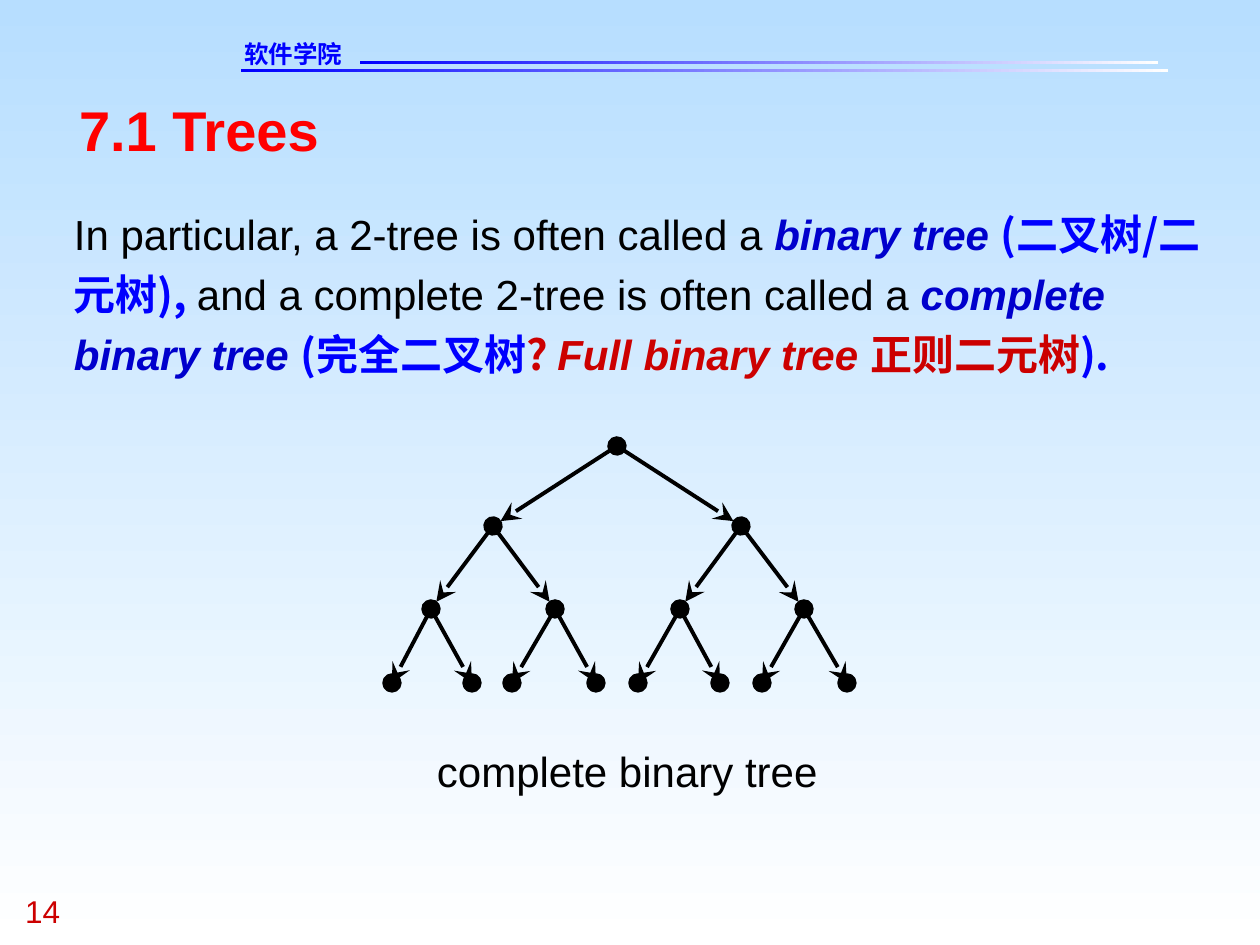
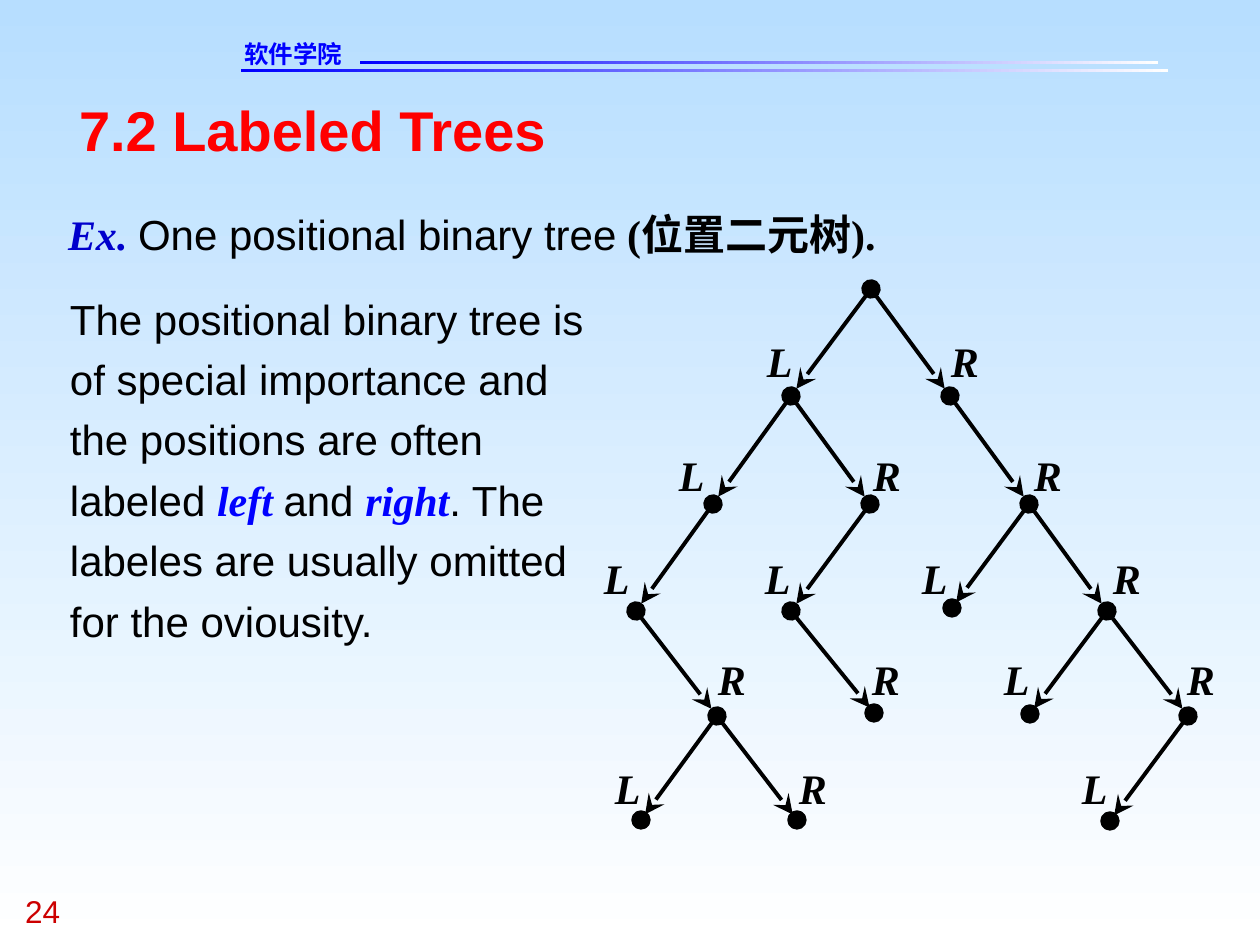
from itertools import product
from math import hypot

from lxml import etree
from pptx import Presentation
from pptx.dml.color import RGBColor
from pptx.enum.shapes import MSO_CONNECTOR, MSO_SHAPE
from pptx.enum.text import MSO_ANCHOR, MSO_AUTO_SIZE, PP_ALIGN
from pptx.oxml.ns import qn
from pptx.util import Emu, Inches, Pt

STRAIGHT = MSO_CONNECTOR.STRAIGHT
RECTANGLE, OVAL = MSO_SHAPE.RECTANGLE, MSO_SHAPE.OVAL
TOP, LEFT, NO_FIT = MSO_ANCHOR.TOP, PP_ALIGN.LEFT, MSO_AUTO_SIZE.NONE

EMU_PER_PX = 914400 / 126
SKY = RGBColor(0xB7, 0xDE, 0xFF)
WHITE = RGBColor(0xFF, 0xFF, 0xFF)
BLACK = RGBColor(0, 0, 0)
BLUE = RGBColor(0, 0, 0xFF)
NAVY = RGBColor(0, 0, 0xCC)
RED = RGBColor(0xFF, 0, 0)
CRIMSON = RGBColor(0xCC, 0, 0)

SANS, SERIF, CJK, HEADER_FONT = "Arial", "Times New Roman", "Noto Sans CJK SC", "DejaVu Sans"
TERM = dict(color=NAVY, bold=True, italic=True)
CHINESE = dict(name=CJK, color=BLUE, bold=True)
CHINESE_RED = dict(name=CJK, color=CRIMSON, bold=True)
SERIF_TERM = dict(name=SERIF, color=BLUE, bold=True, italic=True)

DOT = 15
INNER_GAP = 9

# Rows of the complete tree: y of the row, then x of each node
COMPLETE_ROWS = [
    (9, [235]),
    (89, [111, 359]),
    (172, [49, 173, 298, 422]),
    (246, [10, 90, 130, 214, 256, 338, 380, 465]),
]

# Nodes are named by the turns that lead to them from the root
POSITIONAL_NODES = {
    "": (267, 9),
    "L": (187, 116), "R": (346, 116),
    "LL": (109, 224), "LR": (266, 224), "RR": (425, 224),
    "LLL": (32, 331), "LRL": (187, 331), "RRL": (348, 328), "RRR": (503, 331),
    "LLLR": (113, 436), "LRLR": (270, 433), "RRRL": (426, 434), "RRRR": (584, 436),
    "LLLRL": (37, 540), "LLLRR": (193, 540), "RRRRL": (506, 541),
}
LABEL_LEFTS = {
    "L": 163, "R": 347, "LL": 75, "LR": 269, "RR": 430,
    "LLL": 0, "LRL": 161, "RRL": 318, "RRR": 509,
    "LLLR": 114, "LRLR": 268, "RRRL": 400, "RRRR": 583,
    "LLLRL": 11, "LLLRR": 195, "RRRRL": 478,
}
LABEL_TOPS = [56, 170, 273, 374, 483]
LABEL_WIDTHS = {"L": 25, "R": 28}


def px(*lengths):
    return [Emu(round(length * EMU_PER_PX)) for length in lengths]


def set_font(font, size=None, name=None, color=None, bold=None, italic=None):
    font.bold, font.italic = bold, italic
    if size:
        font.size = Pt(size)
    if name:
        font.name = name
    if color is not None:
        font.color.rgb = color


def write(frame, spans, size=24, name=SANS, color=BLACK, bold=None, italic=None, spacing=None):
    """Fill a frame with one paragraph of (text, differing style) spans."""
    frame.margin_left = frame.margin_right = frame.margin_top = frame.margin_bottom = 0
    frame.vertical_anchor, frame.auto_size = TOP, NO_FIT
    para = frame.paragraphs[0]
    para.alignment = LEFT
    if spacing:
        para.line_spacing = spacing
    set_font(para.font, size, name, color, bold, italic)
    defaults = para._p.pPr.find(qn("a:defRPr"))
    etree.SubElement(defaults, qn("a:ea"), typeface=CJK)
    for text, style in spans:
        span = para.add_run()
        span.text = text
        if style:
            set_font(span.font, **style)
            if style.get("name") == CJK:
                etree.SubElement(span._r.rPr, qn("a:ea"), typeface=CJK)


def add_text(parent, box, spans, wrap=True, **style):
    frame = parent.shapes.add_textbox(*px(*box)).text_frame
    frame.word_wrap = wrap
    write(frame, spans, **style)


def set_gradient(fill, start, end, angle):
    fill.gradient()
    fill.gradient_angle = angle
    for stop, color in zip(fill.gradient_stops, (start, end)):
        stop.color.rgb = color


def add_header(page):
    for box in ((241, 69, 927, 3), (360, 61, 798, 3)):
        rule = page.shapes.add_shape(RECTANGLE, *px(*box))
        rule.shadow.inherit = False
        rule.line.fill.background()
        set_gradient(rule.fill, BLUE, WHITE, 0)
    add_text(page, (244, 39, 183, 29), [("软件学院", None)],
             size=14, name=HEADER_FONT, color=BLUE, bold=True)


def add_page(deck, title, number):
    page = deck.slides.add_slide(deck.slide_layouts[5])
    add_header(page)
    heading = page.shapes.title
    heading.left, heading.top, heading.width, heading.height = px(79, 95, 1103, 67)
    write(heading.text_frame, [(title, None)], size=32, color=RED, bold=True)
    add_text(page, (25, 892, 95, 38), [(number, None)], size=18, color=CRIMSON)
    return page


def add_leaf(group, x, y):
    dot = group.shapes.add_shape(OVAL, *px(x - DOT / 2, y - DOT / 2, DOT, DOT))
    dot.shadow.inherit = False
    dot.fill.solid()
    dot.fill.fore_color.rgb = BLACK
    dot.line.color.rgb = BLACK
    dot.line.width = Pt(2.5)


def add_edge(group, parent, child, gap, with_dot):
    """Arrow that stops gap short of the child; with_dot also marks the parent."""
    (x1, y1), (x2, y2) = parent, child
    reach = 1 - gap / hypot(x2 - x1, y2 - y1)
    tip = x1 + (x2 - x1) * reach, y1 + (y2 - y1) * reach
    edge = group.shapes.add_connector(STRAIGHT, *px(x1, y1, *tip))
    edge.line.color.rgb = BLACK
    edge.line.width = Pt(2.25)
    ends = [("a:tailEnd", "stealth")]
    if with_dot:
        ends.insert(0, ("a:headEnd", "oval"))
    properties = edge._element.spPr
    for tag, kind in ends:
        etree.SubElement(properties.find(qn("a:ln")), qn(tag), type=kind, w="lg", len="lg")
    etree.SubElement(properties, qn("a:effectLst"))


def add_tree(page, left, top, nodes, leaf_gap):
    """Draw nodes, keyed by their turns from the root, and return the group."""
    group = page.shapes.add_group_shape()
    centres = {turns: (left + x, top + y) for turns, (x, y) in nodes.items()}
    parents = {turns[:-1] for turns in centres if turns}
    marked = set()
    for turns, centre in centres.items():
        is_leaf = turns not in parents
        if is_leaf:
            add_leaf(group, *centre)
        if turns:
            parent = turns[:-1]
            gap = leaf_gap if is_leaf else INNER_GAP
            add_edge(group, centres[parent], centre, gap, parent not in marked)
            marked.add(parent)
    return group


def add_edge_labels(group, left, top):
    for turns, x in LABEL_LEFTS.items():
        side = turns[-1]
        box = left + x, top + LABEL_TOPS[len(turns) - 1], LABEL_WIDTHS[side], 50
        add_text(group, box, [(side, None)], wrap=False, name=SERIF, bold=True, italic=True)


def add_trees_page(deck):
    page = add_page(deck, "7.1 Trees", "14")
    add_text(page, (74, 198, 1159, 242), [
        ("In particular, a 2-tree is often called a ", None),
        ("binary tree ", TERM),
        ("(二叉树/二元树), ", CHINESE),
        ("and a complete 2-tree is often called a ", None),
        ("complete binary tree ", TERM),
        ("(完全二叉树", CHINESE),
        ("? ", CHINESE_RED),
        ("Full binary tree ", dict(TERM, color=CRIMSON)),
        ("正则二元树", CHINESE_RED),
        (").", CHINESE),
    ], spacing=1.2)
    nodes = {}
    for depth, (y, columns) in enumerate(COMPLETE_ROWS):
        for turns, x in zip(product("LR", repeat=depth), columns):
            nodes["".join(turns)] = x, y
    group = add_tree(page, 382, 437, nodes, leaf_gap=0)
    add_text(group, (437, 746, 381, 50), [("complete binary tree", None)], wrap=False)


def add_labeled_trees_page(deck):
    page = add_page(deck, "7.2 Labeled Trees", "24")
    add_text(page, (68, 198, 1104, 60), [
        ("Ex. ", dict(TERM, name=SERIF)),
        ("One positional binary tree", None),
        (" (位置二元树).", dict(name=SERIF, bold=True)),
    ], spacing=1.2)
    left, top = 604, 280
    group = add_tree(page, left, top, POSITIONAL_NODES, leaf_gap=7)
    add_edge_labels(group, left, top)
    add_text(page, (70, 283, 541, 363), [
        ("The positional binary tree is of special importance and the positions "
         "are often labeled ", None),
        ("left ", SERIF_TERM),
        ("and ", None),
        ("right", SERIF_TERM),
        (". The labeles are usually omitted for the oviousity.", None),
    ], spacing=1.2)


def main():
    deck = Presentation()
    deck.slide_width, deck.slide_height = Inches(10), Inches(7.5)
    set_gradient(deck.slide_master.background.fill, SKY, WHITE, 270)
    add_trees_page(deck)
    add_labeled_trees_page(deck)
    deck.save("out.pptx")


if __name__ == "__main__":
    main()
